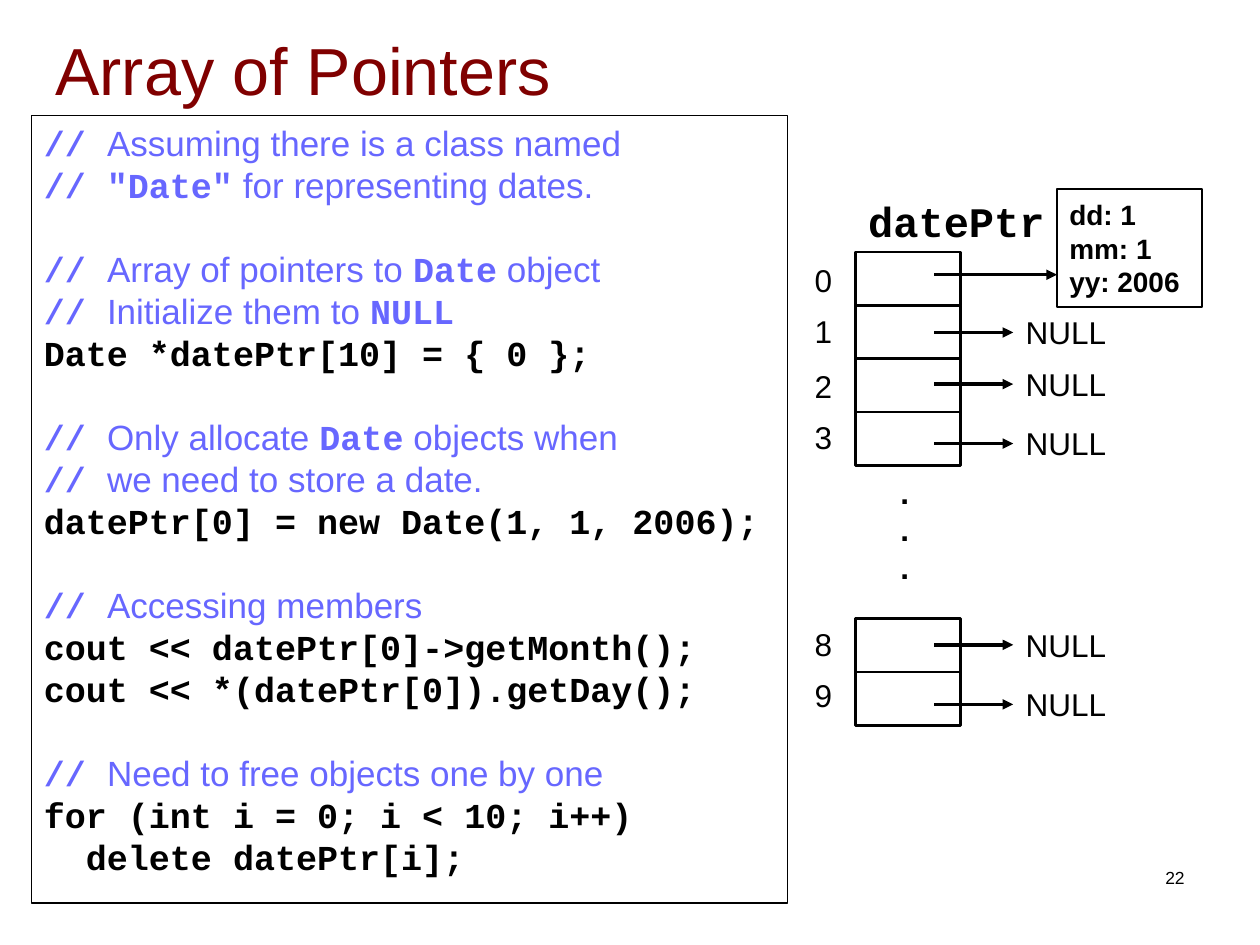
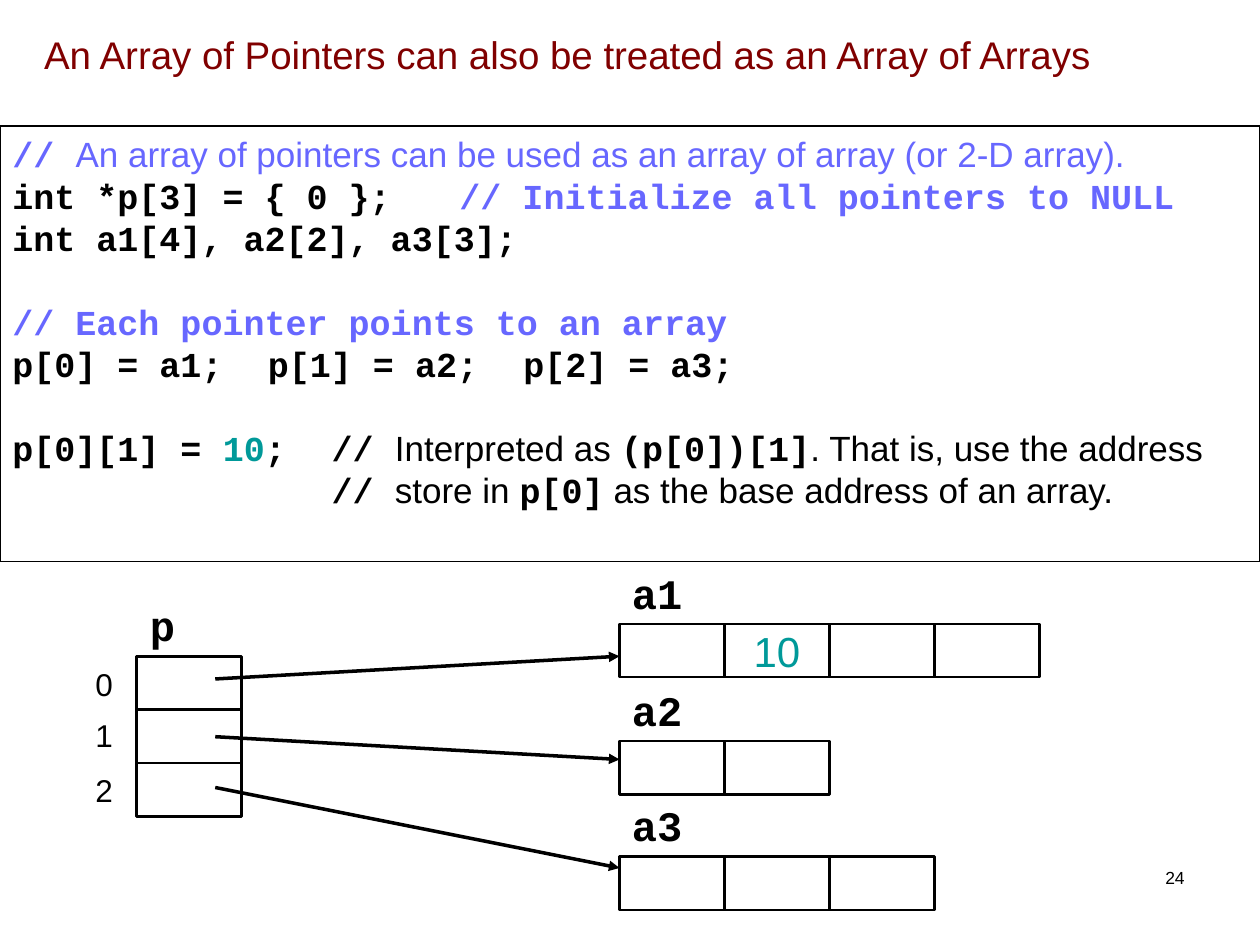
"""Build two slides on arrays of pointers in C++."""
import pptx
import pptx.util
import pptx.dml.color
import pptx.enum.shapes
import pptx.enum.text
import lxml.etree

Pt = pptx.util.Pt
ALIGN = pptx.enum.text.PP_ALIGN
ANCHOR = pptx.enum.text.MSO_ANCHOR
NS = "http://schemas.openxmlformats.org/drawingml/2006/main"
HUES = {"black": "000000", "white": "FFFFFF", "blue": "6767FF", "red": "800000", "teal": "009999"}
STYLES = {
    "code": ("Courier New", True, "black"),
    "mark": ("Courier New", True, "blue"),
    "value": ("Courier New", True, "teal"),
    "note": ("Arial", False, "blue"),
    "plain": ("Arial", False, "black"),
    "bold": ("Arial", True, "black"),
    "title": ("Arial", False, "red"),
    "ten": ("Arial", False, "teal"),
}
CELL_W, CELL_H = 60, 30.5
TAB = 36.5


class Deck:
    """Hold the shared style and the current slide."""

    def __init__(self):
        """Start an empty 10 by 7.5 inch deck."""
        self.show = pptx.Presentation()
        self.show.slide_width, self.show.slide_height = Pt(720), Pt(540)

    def page(self, title, size, box, number):
        """Add a slide with its title and page number."""
        self.slide = self.show.slides.add_slide(self.show.slide_layouts[5])
        head = self.slide.shapes.title
        head.left, head.top, head.width, head.height = map(Pt, box)
        head.text_frame.auto_size = pptx.enum.text.MSO_AUTO_SIZE.NONE
        head.text_frame.vertical_anchor = ANCHOR.MIDDLE
        self.fill(head.text_frame, [[("title", title)]], size)
        self.label(number, 516, 492, 168, 10, align=ALIGN.RIGHT)

    def style(self, font, kind):
        """Give a font the look of a text kind."""
        font.name, font.bold, hue = STYLES[kind]
        font.color.rgb = self.hue(hue)

    def hue(self, name):
        """Return a named colour."""
        return pptx.dml.color.RGBColor.from_string(HUES[name])

    def fill(self, frame, lines, size, align=ALIGN.LEFT, tabs=0):
        """Fill a frame with lines of (kind, text) runs; None leaves a gap."""
        pitch, gap, para = Pt(size * 1.2), False, None
        for line in lines:
            if line is None:
                gap = True
                continue
            para = frame.add_paragraph() if para else frame.paragraphs[0]
            para.alignment, para.line_spacing = align, pitch
            para.space_before = pitch if gap else Pt(0)
            gap = False
            if tabs:
                stops = lxml.etree.SubElement(para._p.get_or_add_pPr(), f"{{{NS}}}tabLst")
                for i in range(1, tabs + 1):
                    lxml.etree.SubElement(stops, f"{{{NS}}}tab", pos=str(Pt(TAB * i)), algn="l")
            para.font.size = Pt(size)
            for kind, text in line:
                run = para.add_run()
                run.text = text
                self.style(para.font if len(line) == 1 else run.font, kind)

    def label(self, text, x, y, width, size=18, kind="plain", align=ALIGN.LEFT):
        """Add a text box, one paragraph for each line."""
        rows = text.split("\n")
        box = self.slide.shapes.add_textbox(Pt(x), Pt(y), Pt(width), Pt(size * 1.2 * len(rows) + 7.2))
        box.text_frame.word_wrap = align == ALIGN.RIGHT
        self.fill(box.text_frame, [[(kind, row)] for row in rows], size, align)

    def rect(self, x, y, width, height, line=1.5, hue=None):
        """Add an outlined rectangle and return its text frame."""
        shape = self.slide.shapes.add_shape(
            pptx.enum.shapes.MSO_SHAPE.RECTANGLE, Pt(x), Pt(y), Pt(width), Pt(height))
        shape.shadow.inherit = False
        shape.line.color.rgb, shape.line.width = self.hue("black"), Pt(line)
        if hue:
            shape.fill.solid()
            shape.fill.fore_color.rgb = self.hue(hue)
        else:
            shape.fill.background()
        return shape.text_frame

    def code(self, lines, x, y, width, height):
        """Add a framed code listing."""
        frame = self.rect(x, y, width, height, 0.75, "white")
        frame.vertical_anchor = ANCHOR.TOP
        self.fill(frame, lines, 20, tabs=8)

    def cells(self, x, y, count, down=False):
        """Add a row or column of cells and return their frames."""
        return [self.rect(x + (0 if down else i * CELL_W), y + (i * CELL_H if down else 0),
                          CELL_W, CELL_H) for i in range(count)]

    def arrow(self, x, y, x2, y2):
        """Add a straight arrow."""
        line = self.slide.shapes.add_connector(
            pptx.enum.shapes.MSO_CONNECTOR.STRAIGHT, Pt(x), Pt(y), Pt(x2), Pt(y2))
        line.line.color.rgb, line.line.width = self.hue("black"), Pt(2)
        props = line._element.spPr
        lxml.etree.SubElement(props.find(f"{{{NS}}}ln"), f"{{{NS}}}tailEnd", type="triangle")
        lxml.etree.SubElement(props, f"{{{NS}}}effectLst")


def dates(deck):
    """Build the slide on an array of date pointers."""
    deck.page("Array of Pointers", 38, (24.5, 10, 674.5, 59), "22")
    deck.code([
        [("mark", "// "), ("note", "Assuming there is a class named")],
        [("mark", '// "Date"'), ("note", " for representing dates.")],
        None,
        [("mark", "// "), ("note", "Array of pointers to "), ("mark", "Date"), ("note", " object")],
        [("mark", "// "), ("note", "Initialize them to "), ("mark", "NULL")],
        [("code", "Date *datePtr[10] = { 0 };")],
        None,
        [("mark", "// "), ("note", "Only allocate "), ("mark", "Date"), ("note", " objects when")],
        [("mark", "// "), ("note", "we need to store a date.")],
        [("code", "datePtr[0] = new Date(1, 1, 2006);")],
        None,
        [("mark", "// "), ("note", "Accessing members")],
        [("code", "cout << datePtr[0]->getMonth();")],
        [("code", "cout << *(datePtr[0]).getDay();")],
        None,
        [("mark", "// "), ("note", "Need to free objects one by one")],
        [("code", "for (int i = 0; i < 10; i++)")],
        [("code", "  delete datePtr[i];")],
    ], 18, 66, 432, 450)
    deck.label("datePtr", 489, 108, 115, 24, "code")
    deck.cells(489, 144, 4, True)
    deck.cells(489, 353.5, 2, True)
    deck.label(".\n.\n.", 507.5, 266.5, 19.5, kind="bold")
    date = deck.rect(604, 108, 83, 67.5)
    date.vertical_anchor = ANCHOR.MIDDLE
    deck.fill(date, [[("bold", row)] for row in ("dd: 1", "mm: 1", "yy: 2006")], 16)
    deck.arrow(534, 157, 604, 157)
    for y in (190, 219.5, 253.5, 368.5, 402.5):
        deck.arrow(534, y, 579, y)
        deck.label("NULL", 579, y - 14.5, 60.5)
    for index, y in zip("012389", (145.5, 174.5, 206, 235.5, 353.5, 383)):
        deck.label(index, 458.5, y, 24.5)


def arrays(deck):
    """Build the slide on an array of arrays."""
    deck.page("An Array of Pointers can also be treated as an Array of Arrays",
              22, (18, 13, 695, 35.5), "24")
    deck.code([
        [("mark", "// "),
         ("note", "An array of pointers can be used as an array of array (or 2-D array).")],
        [("code", "int *p[3] = { 0 };\t\t"), ("mark", "// Initialize all pointers to NULL")],
        [("code", "int a1[4], a2[2], a3[3];")],
        None,
        [("mark", "// Each pointer points to an array")],
        [("code", "p[0] = a1;\tp[1] = a2;\tp[2] = a3;")],
        None,
        [("code", "p[0][1] = "), ("value", "10"), ("code", ";\t// "), ("plain", "Interpreted as "),
         ("code", "(p[0])[1]"), ("plain", ". That is, use the address")],
        [("code", "\t\t\t\t\t// "), ("plain", "store in "), ("code", "p[0]"),
         ("plain", " as the base address of an array.")],
    ], 0, 72, 720, 249)
    deck.label("p", 78.5, 339, 29, 24, "code")
    deck.cells(78, 375, 3, True)
    for index, y in zip("012", (376.5, 405.5, 437)):
        deck.label(index, 47.5, y, 24.5)
    rows = [("a1", 356.5, 4), ("a2", 423.5, 2), ("a3", 489.5, 3)]
    frames = {}
    for name, y, count in rows:
        deck.label(name, 354, y - 36, 43, 24, "code")
        frames[name] = deck.cells(354, y, count)
    ten = frames["a1"][1]
    ten.vertical_anchor = ANCHOR.MIDDLE
    deck.fill(ten, [[("ten", "10")]], 24, ALIGN.CENTER)
    for start, end in ((388, 375), (421, 434), (450, 496)):
        deck.arrow(123, start, 354, end)


def main():
    """Build and save the deck."""
    deck = Deck()
    dates(deck)
    arrays(deck)
    deck.show.save("out.pptx")


if __name__ == "__main__":
    main()
